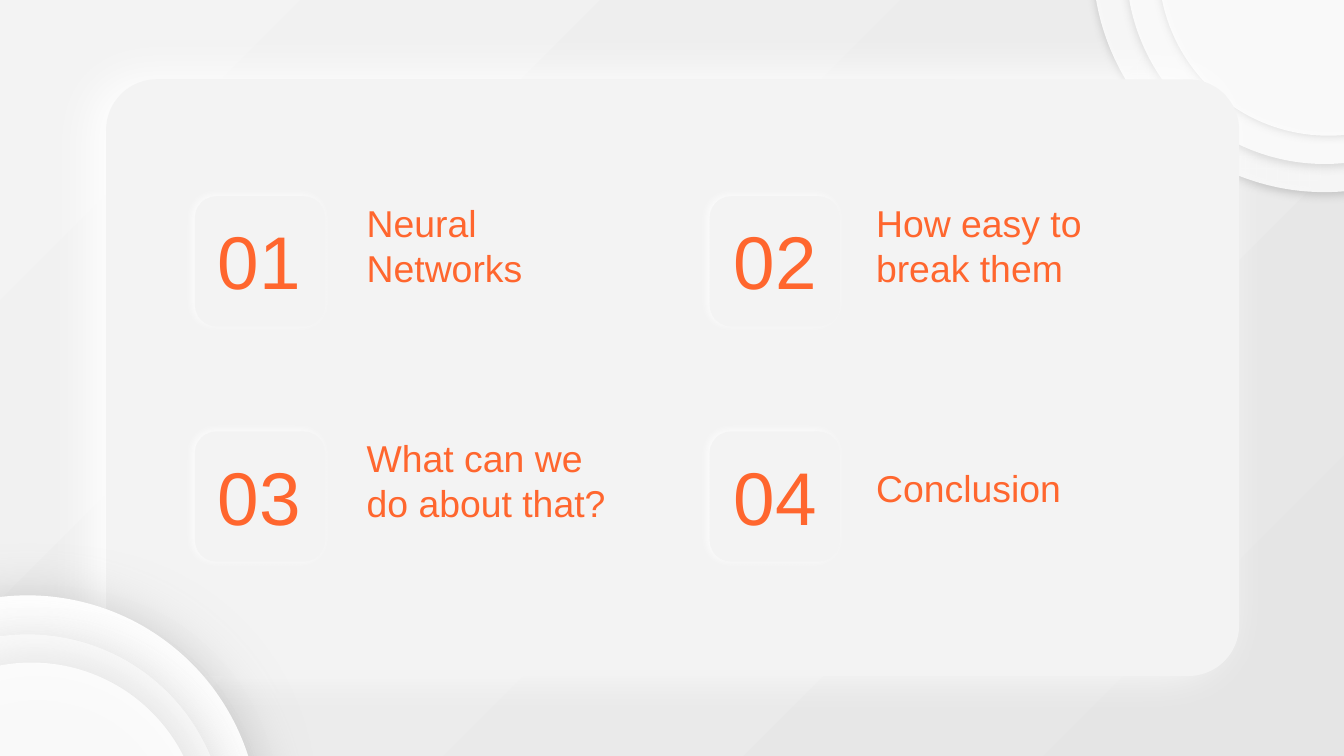
from lxml.etree import SubElement
from pptx import Presentation
from pptx.dml.color import RGBColor
from pptx.enum.shapes import MSO_SHAPE as Shape
from pptx.enum.text import MSO_ANCHOR as Anchor, PP_ALIGN as Align
from pptx.oxml.ns import qn
from pptx.util import Inches, Pt

rgb = RGBColor.from_string


def add_soft(kind, box, shade, alpha=100, fill="FFFFFF"):
    """Add a borderless shape; shade is colour, opacity, blur, distance, angle."""
    shape = slide.shapes.add_shape(kind, *map(Inches, box))
    shape.fill.solid()
    shape.fill.fore_color.rgb = rgb(fill)
    shape.line.fill.background()
    shape.shadow.inherit = False
    props = shape._element.spPr
    if alpha < 100:
        tint = props.find(qn("a:solidFill")).find(qn("a:srgbClr"))
        SubElement(tint, qn("a:alpha"), val=str(alpha * 1000))
    color, depth, blur, dist, angle = shade
    outer = SubElement(
        props.find(qn("a:effectLst")), qn("a:outerShdw"),
        blurRad=str(Pt(blur)), dist=str(Pt(dist)), dir=str(angle * 60000),
        algn="bl", rotWithShape="0")
    tone = SubElement(outer, qn("a:srgbClr"), val=color)
    SubElement(tone, qn("a:alpha"), val=str(depth * 1000))
    return shape


def add_text(box, text, size, align, anchor):
    frame = slide.shapes.add_textbox(*map(Inches, box)).text_frame
    frame.word_wrap = True
    frame.vertical_anchor = anchor
    frame.margin_left = frame.margin_right = Inches(0.1)
    frame.margin_top = frame.margin_bottom = Inches(0.1)
    frame.text = text
    para = frame.paragraphs[0]
    para.alignment = align
    font = para.runs[0].font
    font.name, font.size = "Arial", Pt(size)
    font.color.rgb = rgb("FF662E")


deck = Presentation()
deck.slide_width = Inches(10)
deck.slide_height = deck.slide_width * 9 // 16
slide = deck.slides.add_slide(deck.slide_layouts[6])

back = slide.background.fill
back.gradient()
back.gradient_angle = 315
for stop, color in zip(back.gradient_stops, ("F3F3F3", "E5E5E5")):
    stop.color.rgb = rgb(color)

# Rings in two corners, with the panel between them in the stack
rings = [  # offset from the corner's left and top, diameter, shadow colour
    (0, 0, 3.45, "999999"),
    (0.25, 0.29, 2.95, "B7B7B7"),
    (0.49, 0.5, 2.53, "B7B7B7"),
]
corners = [  # left, top, blur, distance, opacity of the outer ring
    (8.13, -2.02, 4.5, 1.5, 84),
    (-1.52, 4.43, 32.6, 3, 100),
]
for left, top, blur, dist, solid in corners:
    for i, (dx, dy, size, color) in enumerate(rings):
        gap, angle = (dist, 90) if i < 2 else (0 if top < 0 else dist, 0)
        add_soft(Shape.OVAL, (left + dx, top + dy, size, size),
                 (color, 50, blur, gap, angle), 84 if i else solid)
    if top < 0:
        panel = add_soft(Shape.ROUNDED_RECTANGLE, (0.79, 0.59, 8.43, 4.44),
                         ("FFFFFF", 100, 24.8, 8.2, 194), fill="F3F3F3")
        panel.adjustments[0] = 0.085

# Numbered topics in a two by two grid
topics = ["Neural Networks", "How easy to break them",
          "What can we do about that?", "Conclusion"]
columns = [(1.45, 1.45, 2.63), (5.28, 5.29, 6.42)]  # tile, number, label
for i, topic in enumerate(topics):
    row, col = divmod(i, 2)
    left, mark, label = columns[col]
    top = 1.46 + 1.75 * row
    tile = add_soft(Shape.ROUNDED_RECTANGLE, (left, top, 0.97, 0.97),
                    ("FFFFFF", 97, 5.6, 1.5, 200), fill="F3F3F3")
    tile.adjustments[0] = 0.167
    add_text((mark, top + 0.21, 0.96, 0.53), f"{i + 1:02}", 40,
             Align.CENTER, Anchor.MIDDLE)
    anchor = Anchor.MIDDLE if topic == "Conclusion" else Anchor.TOP
    add_text((label, top - 0.07, 2.14, 0.97), topic, 20,
             Align.LEFT, anchor)

deck.save("out.pptx")
